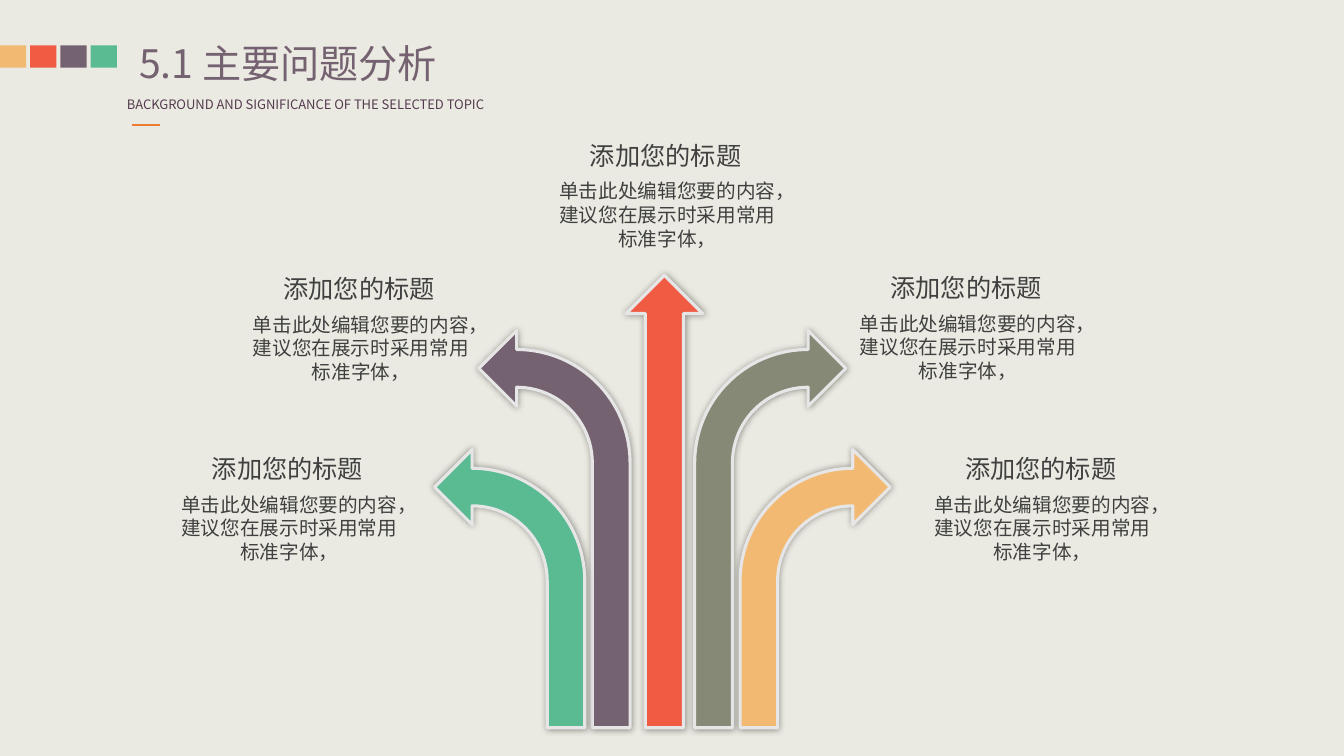
from lxml import etree
from pptx import Presentation
from pptx.dml.color import RGBColor
from pptx.enum.shapes import MSO_CONNECTOR, MSO_SHAPE
from pptx.enum.text import MSO_ANCHOR, MSO_AUTO_SIZE, PP_ALIGN
from pptx.oxml import parse_xml
from pptx.oxml.ns import nsdecls, qn
from pptx.util import Inches, Pt

RECTANGLE, BENT_ARROW, UP_ARROW = MSO_SHAPE.RECTANGLE, MSO_SHAPE.BENT_ARROW, MSO_SHAPE.UP_ARROW
STRAIGHT = MSO_CONNECTOR.STRAIGHT
LEFT, CENTER, RIGHT = PP_ALIGN.LEFT, PP_ALIGN.CENTER, PP_ALIGN.RIGHT
TOP, FIT_SHAPE = MSO_ANCHOR.TOP, MSO_AUTO_SIZE.SHAPE_TO_FIT_TEXT
FONT = "Noto Sans CJK SC"
COLORS = {
    "background": "EBEAE2", "sand": "F2B973", "red": "EF5B43", "plum": "756271",
    "green": "5ABB93", "olive": "858976", "outline": "E7E6E6", "accent": "ED7D31",
    "subtitle": "543C4F", "text": "404040",
}
HEADING = "添加您的标题"
DETAIL = "单击此处编辑您要的内容，建议您在展示时采用常用标准字体，"
CAPTION_CORNERS = [(1.69, 4.45), (2.4, 2.66), (5.44, 1.34), (8.42, 2.65), (9.16, 4.45)]


def rgb(name):
    """Return the named palette colour."""
    return RGBColor.from_string(COLORS[name])


def place(shape, left, top, width, height):
    """Move a shape to a box given in inches."""
    shape.left, shape.top = Inches(left), Inches(top)
    shape.width, shape.height = Inches(width), Inches(height)


def write(shape, text, size, color="text", align=LEFT, wrap=True, inset=None):
    """Put formatted text into a text box or placeholder."""
    frame = shape.text_frame
    frame.text = text
    frame.word_wrap = wrap
    frame.auto_size = FIT_SHAPE
    frame.vertical_anchor = TOP
    if inset is not None:
        frame.margin_left = frame.margin_right = Inches(inset)
        frame.margin_top = frame.margin_bottom = Inches(inset)
    paragraph = frame.paragraphs[0]
    paragraph.alignment = align
    font = paragraph.runs[0].font
    font.size, font.name = Pt(size), FONT
    font.color.rgb = rgb(color)
    east_asian = etree.SubElement(paragraph.runs[0].font._element, qn("a:ea"))
    east_asian.set("typeface", FONT)


def add_text(shapes, box, text, size, **style):
    """Add a text box with formatted text."""
    label = shapes.add_textbox(*map(Inches, box))
    write(label, text, size, **style)


def add_filled(shapes, kind, box, color):
    """Add a flat preset shape without outline."""
    shape = shapes.add_shape(kind, *map(Inches, box))
    shape.shadow.inherit = False
    shape.fill.solid()
    shape.fill.fore_color.rgb = rgb(color)
    shape.line.fill.background()
    return shape


def add_arrow(shapes, kind, box, color, flipped=False):
    """Add an outlined arrow with a soft glow-like shadow."""
    arrow = add_filled(shapes, kind, box, color)
    arrow.line.color.rgb = rgb("outline")
    arrow.line.width = Pt(2.25)
    properties = arrow._element.spPr
    properties.find(qn("a:effectLst")).append(parse_xml(
        f'<a:outerShdw {nsdecls("a")} blurRad="{Pt(5)}" dist="0" dir="0" algn="ctr" '
        'rotWithShape="0"><a:srgbClr val="000000"><a:alpha val="40000"/></a:srgbClr>'
        '</a:outerShdw>'))
    if kind == BENT_ARROW:
        for index, value in enumerate((0.25, 0.25, 0.25, 0.75)):
            arrow.adjustments[index] = value
    if flipped:
        properties.find(qn("a:xfrm")).set("flipH", "1")


def build_header(slide, left, top):
    """Build the colour squares, title, subtitle and accent rule."""
    for index, color in enumerate(("sand", "red", "plum", "green")):
        add_filled(slide.shapes, RECTANGLE, (left + 0.3 * index, top, 0.26, 0.22), color)
    title = slide.shapes.title
    place(title, left + 1.38, top - 0.06, 3.99, 0.47)
    write(title, "5.1 主要问题分析", 28, color="plum", inset=0)
    add_text(slide.shapes, (left + 1.16, top + 0.46, 4.07, 0.26),
             "BACKGROUND AND SIGNIFICANCE OF THE SELECTED TOPIC", 9.3,
             color="subtitle", wrap=False)
    rule_y = Inches(top + 0.79)
    rule = slide.shapes.add_connector(
        STRAIGHT, Inches(left + 1.31), rule_y, Inches(left + 1.59), rule_y)
    rule.line.color.rgb = rgb("accent")
    rule.line.width = Pt(1.5)
    etree.SubElement(rule._element.spPr, qn("a:effectLst"))


def build_arrow_tree(slide, axis, base):
    """Build mirrored pairs of bent arrows around a central up arrow."""
    pairs = [(0.32, 1.5, 3.94, "olive", "plum"), (0.77, 1.49, 2.76, "sand", "green")]
    for offset, width, height, right_color, left_color in pairs:
        top = base - height
        add_arrow(slide.shapes, BENT_ARROW, (axis + offset, top, width, height), right_color)
        add_arrow(slide.shapes, BENT_ARROW, (axis - offset - width, top, width, height),
                  left_color, flipped=True)
    add_arrow(slide.shapes, UP_ARROW, (axis - 0.36, base - 4.49, 0.76, 4.49), "red")


def build_caption(slide, left, top):
    """Build one grouped heading with its detail text."""
    caption = slide.shapes.add_group_shape().shapes
    add_text(caption, (left + 0.29, top, 1.72, 0.4), HEADING, 18, align=RIGHT, wrap=False)
    add_text(caption, (left, top + 0.39, 2.36, 0.81), DETAIL, 14, align=CENTER)


def main():
    """Build and save the slide."""
    deck = Presentation()
    deck.slide_width, deck.slide_height = Inches(13.33), Inches(7.5)
    slide = deck.slides.add_slide(deck.slide_layouts[5])
    slide.background.fill.solid()
    slide.background.fill.fore_color.rgb = rgb("background")
    build_header(slide, 0, 0.45)
    build_arrow_tree(slide, 6.57, 7.22)
    for left, top in CAPTION_CORNERS:
        build_caption(slide, left, top)
    deck.save("out.pptx")


if __name__ == "__main__":
    main()
